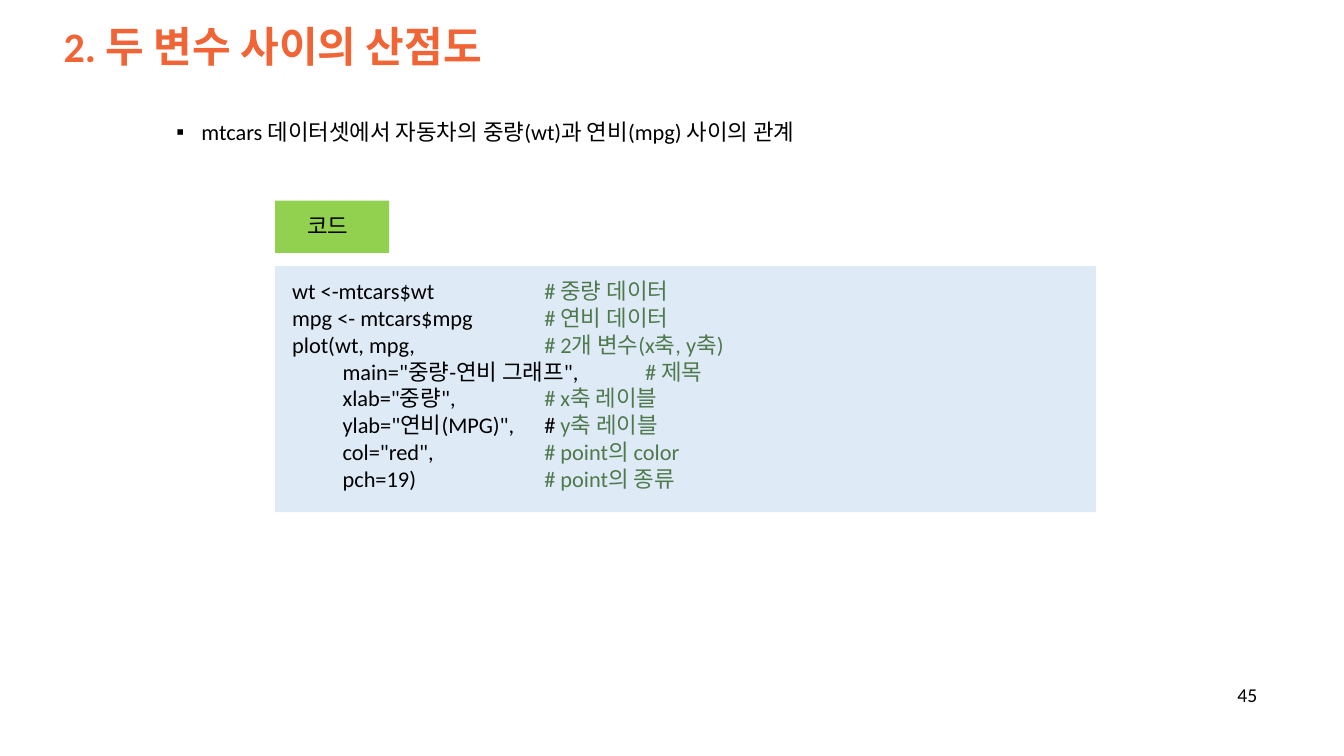
from lxml.etree import SubElement
from pptx import Presentation
from pptx.dml.color import RGBColor
from pptx.enum.shapes import MSO_SHAPE as Shape
from pptx.enum.text import MSO_ANCHOR as Anchor, MSO_AUTO_SIZE as AutoSize, PP_ALIGN as Align
from pptx.oxml.ns import qn
from pptx.util import Inches, Pt

BLACK, ORANGE, COMMENT = "000000", "F06436", "4F784C"
GREEN, PALE_BLUE = "92D050", "DEEBF7"
CODE_TABS = (0.5, 2.5, 3.5)

# Each code line: (code, comment)
CODE_LINES = [
    ("wt <-mtcars$wt\t\t", "# 중량 데이터"),
    ("mpg <- mtcars$mpg\t", "# 연비 데이터"),
    ("plot(wt, mpg,\t", "# 2개 변수(x축, y축)"),
    ("\tmain=\"중량-연비 그래프\",\t", "# 제목"),
    ("\txlab=\"중량\",\t", "# x축 레이블"),
    ("\tylab=\"연비(MPG)\",\t#", " y축 레이블"),
    ("\tcol=\"red\",\t", "# point의 color"),
    ("\tpch=19)\t", "# point의 종류"),
]
# The first stop only serves indented lines, so the others need a single tab
CODE_LINES[0] = ("wt <-mtcars$wt\t", CODE_LINES[0][1])


def color(hex_value):
    return RGBColor.from_string(hex_value)


def add_run(paragraph, text, hex_value=BLACK, **formats):
    run = paragraph.add_run()
    run.text = text
    run.font.color.rgb = color(hex_value)
    for name, value in {"name": "Calibri", "size": Pt(16), **formats}.items():
        setattr(run.font, name, value)


def format_frame(frame, **formats):
    defaults = {"word_wrap": True, "auto_size": AutoSize.NONE, "vertical_anchor": Anchor.TOP}
    for name, value in {**defaults, **formats}.items():
        setattr(frame, name, value)
    return frame


def add_text(slide, box, **formats):
    return format_frame(slide.shapes.add_textbox(*map(Inches, box)).text_frame, **formats)


def add_panel(slide, box, hex_value):
    panel = slide.shapes.add_shape(Shape.RECTANGLE, *map(Inches, box))
    panel.shadow.inherit = False
    panel.fill.solid()
    panel.fill.fore_color.rgb = color(hex_value)
    panel.line.fill.background()


def add_title(slide, box):
    title = slide.shapes.title
    for name, value in zip(("left", "top", "width", "height"), box):
        setattr(title, name, Inches(value))
    frame = format_frame(title.text_frame, vertical_anchor=Anchor.MIDDLE)
    heading = frame.paragraphs[0]
    heading.alignment = Align.LEFT
    heading.line_spacing = 0.9
    add_run(heading, "2. 두 변수 사이의 산점도", ORANGE, size=Pt(30), bold=True)


def add_topic(slide, box):
    topic = add_text(slide, box).paragraphs[0]
    topic.level = 1
    topic.line_spacing = 1.5
    topic.space_before = Pt(5)
    add_run(topic, "mtcars 데이터셋에서 자동차의 중량(wt)과 연비(mpg) 사이의 관계")
    # Square bullet with a hanging indent
    props = topic._p.get_or_add_pPr()
    props.set("marL", str(Inches(0.75)))
    props.set("indent", str(Inches(-0.25)))
    SubElement(props, qn("a:buFont"), typeface="Wingdings")
    props[-1].set("typeface", "Arial")
    SubElement(props, qn("a:buChar"), char="▪")


def add_code_block(slide, box):
    left, top, width, height = box
    # Label above the listing
    add_panel(slide, (left, top, 1.13, 0.52), GREEN)
    label = add_text(slide, (left + 0.22, top + 0.07, 0.7, 0.37), word_wrap=False)
    add_run(label.paragraphs[0], "코드")
    # Listing with comments aligned on tab stops
    add_panel(slide, (left, top + 0.65, width, height - 0.65), PALE_BLUE)
    listing = add_text(slide, (left + 0.07, top + 0.71, width - 0.38, height - 0.83))
    for index, (code, comment) in enumerate(CODE_LINES):
        line = listing.add_paragraph() if index else listing.paragraphs[0]
        add_run(line, code)
        add_run(line, comment, COMMENT)
        stops = SubElement(line._p.get_or_add_pPr(), qn("a:tabLst"))
        for stop in CODE_TABS if code.startswith("\t") else CODE_TABS[1:]:
            SubElement(stops, qn("a:tab"), pos=str(Inches(stop)), algn="l")


def add_page_number(slide, box):
    number = add_text(slide, box, vertical_anchor=Anchor.MIDDLE).paragraphs[0]
    number.alignment = Align.RIGHT
    add_run(number, "45", size=Pt(14))


def main():
    deck = Presentation()
    deck.slide_width, deck.slide_height = Inches(13.33), Inches(7.5)
    slide = deck.slides.add_slide(deck.slide_layouts[5])
    add_title(slide, (0.53, 0.12, 12.34, 0.73))
    add_topic(slide, (1.15, 0.99, 11.02, 5.06))
    add_code_block(slide, (2.73, 1.99, 8.14, 3.09))
    add_page_number(slide, (11.84, 6.69, 0.73, 0.4))
    deck.save("out.pptx")


if __name__ == "__main__":
    main()
